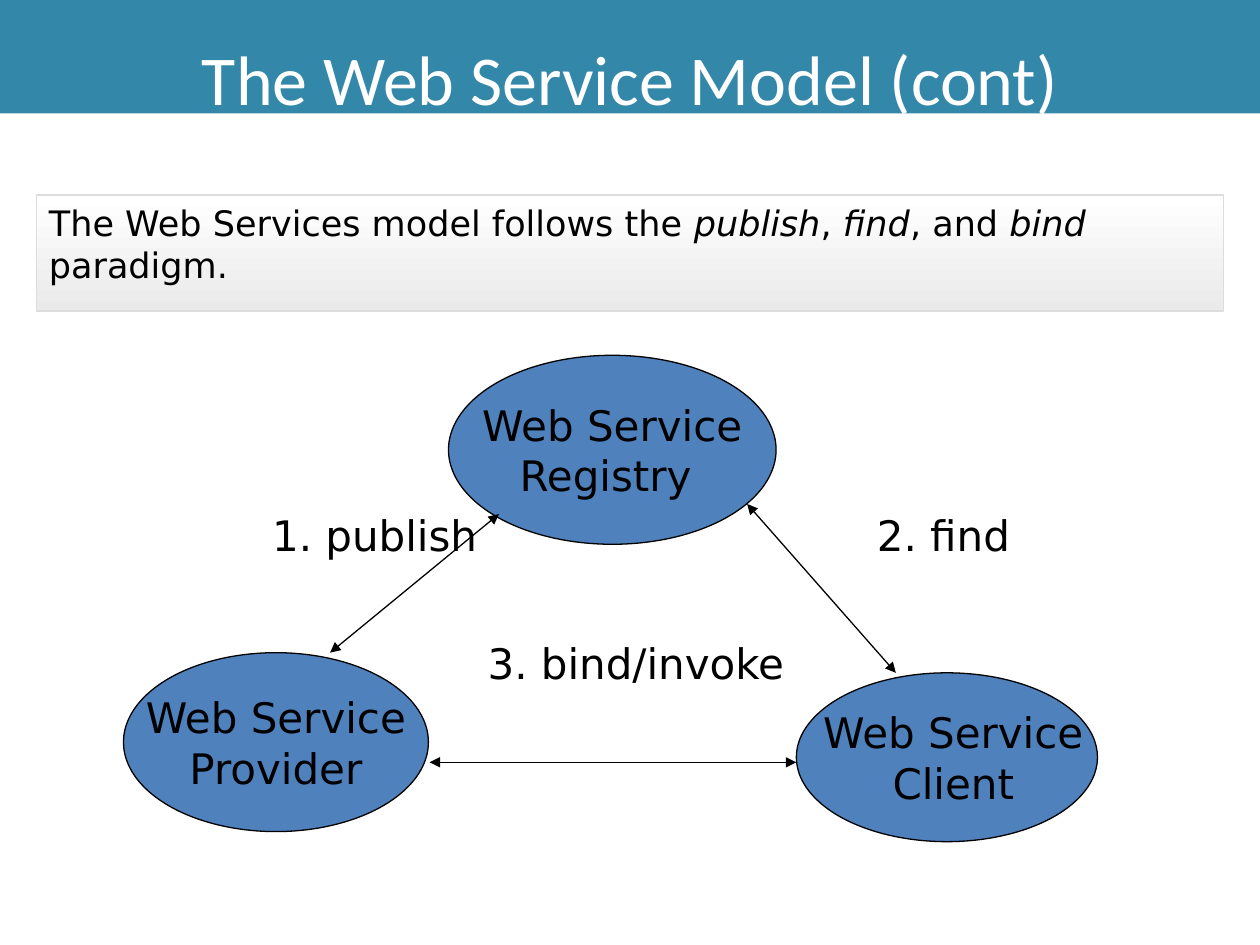
import pptx
import pptx.chart.data
import pptx.dml.color
import pptx.enum.shapes
import pptx.enum.text
import pptx.oxml
import pptx.oxml.ns
import pptx.util
import lxml.etree

COLOURS = {
    "band": "3388A9",
    "node": "4F81BD",
    "ink": "000000",
    "paper": "FFFFFF",
    "shade": "EAEAEA",
    "edge": "DDDDDD",
}
ALIGN = pptx.enum.text.PP_ALIGN
MIDDLE = pptx.enum.text.MSO_ANCHOR.MIDDLE
SHAPES = pptx.enum.shapes.MSO_SHAPE

deck = pptx.Presentation()
deck.slide_width = pptx.util.Inches(10)
deck.slide_height = pptx.util.Inches(7.5)
page = deck.slides.add_slide(deck.slide_layouts[5])
column = deck.slide_width / 100
row = deck.slide_height / 75


def place(left, top, width, height):
    return [round(left * column), round(top * row), round(width * column), round(height * row)]


def style(font, size, name="DejaVu Sans", colour="ink"):
    font.size = pptx.util.Pt(size)
    font.name = name
    font.color.rgb = pptx.dml.color.RGBColor.from_string(COLOURS[colour])


title = page.shapes.title
title.left, title.top, title.width, title.height = place(0, 0, 100, 9)
title.fill.solid()
title.fill.fore_color.rgb = pptx.dml.color.RGBColor.from_string(COLOURS["band"])
title.text_frame.text = "The Web Service Model (cont)"
title.text_frame.auto_size = pptx.enum.text.MSO_AUTO_SIZE.NONE
title.text_frame.vertical_anchor = MIDDLE
heading = title.text_frame.paragraphs[0]
heading.alignment = ALIGN.CENTER
heading.line_spacing = 1.5
style(heading.runs[0].font, 40, "Calibri", "paper")

labels = [
    ("1. publish", 21.6, 39.9, 18),
    ("2. find", 69.6, 39.9, 12),
    ("3. bind/invoke", 38.7, 50.1, 25),
]
for words, left, top, width in labels:
    box = page.shapes.add_textbox(*place(left, top, width, 5))
    frame = box.text_frame
    frame.word_wrap = False
    frame.vertical_anchor = MIDDLE
    frame.margin_left = frame.margin_right = 0
    frame.text = words
    style(frame.paragraphs[0].runs[0].font, 24)

nodes = [
    ("Web Service\nRegistry ", 35.6, 28.2, 26, 15, 1),
    ("Web Service\nProvider", 9.8, 51.8, 24.2, 14.2, 1),
    ("Web Service\nClient", 63.2, 53.4, 23.9, 13.4, 2),
]
for words, left, top, width, height, inset in nodes:
    node = page.shapes.add_shape(SHAPES.OVAL, *place(left, top, width, height))
    node.shadow.inherit = False
    node.fill.solid()
    node.fill.fore_color.rgb = pptx.dml.color.RGBColor.from_string(COLOURS["node"])
    node.line.color.rgb = pptx.dml.color.RGBColor.from_string(COLOURS["ink"])
    node.line.width = pptx.util.Pt(0.75)
    frame = node.text_frame
    frame.word_wrap = False
    frame.vertical_anchor = MIDDLE
    frame.margin_left = round(inset * column)
    frame.text = words
    for para in frame.paragraphs:
        para.alignment = ALIGN.CENTER
        style(para.runs[0].font, 24)

arrows = [
    (26.2, 51.8, 39.6, 40.8),
    (59.3, 40, 71.1, 53.4),
    (63.2, 60.5, 34.1, 60.5),
]
for ends in arrows:
    arrow = page.shapes.add_connector(pptx.enum.shapes.MSO_CONNECTOR.STRAIGHT, *place(*ends))
    arrow.line.color.rgb = pptx.dml.color.RGBColor.from_string(COLOURS["ink"])
    arrow.line.width = pptx.util.Pt(0.75)
    outline = arrow.line._get_or_add_ln()
    for end in ("a:headEnd", "a:tailEnd"):
        lxml.etree.SubElement(outline, pptx.oxml.ns.qn(end), type="triangle")
    lxml.etree.SubElement(arrow._element.spPr, pptx.oxml.ns.qn("a:effectLst"))

summary = page.shapes.add_shape(SHAPES.RECTANGLE, *place(2.9, 15.5, 94.2, 9.2))
summary.shadow.inherit = False
summary.fill.gradient()
summary.fill.gradient_angle = 270
for stop, colour, position in zip(summary.fill.gradient_stops, ("paper", "shade"), (0, 1)):
    stop.color.rgb = pptx.dml.color.RGBColor.from_string(COLOURS[colour])
    stop.position = position
summary.line.color.rgb = pptx.dml.color.RGBColor.from_string(COLOURS["edge"])
summary.line.width = pptx.util.Pt(1)
summary.text_frame.word_wrap = True
summary.text_frame.vertical_anchor = pptx.enum.text.MSO_ANCHOR.TOP
para = summary.text_frame.paragraphs[0]
para.alignment = ALIGN.LEFT
pieces = ["The Web Services model follows the ", "publish", ", ", "find", ", and ", "bind", " paradigm."]
for index, words in enumerate(pieces):
    span = para.add_run()
    span.text = words
    style(span.font, 20)
    span.font.italic = index % 2 == 1

deck.save("out.pptx")
